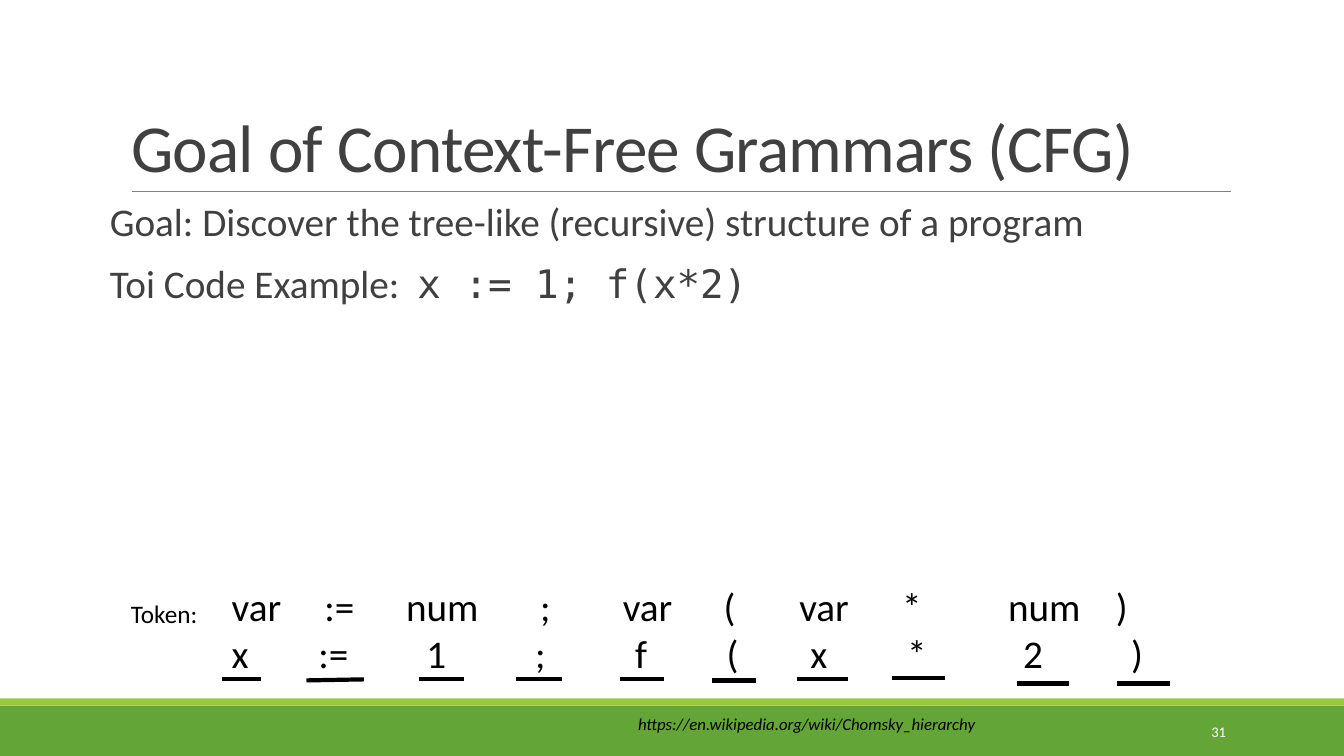
"""Build a slide on the goal of context-free grammars with a tokenised example."""
import pptx
import pptx.dml.color
import pptx.enum.shapes
import pptx.enum.text
import pptx.util
from lxml import etree
from pptx.util import Inches, Pt

NS = "http://schemas.openxmlformats.org/drawingml/2006/main"
ANCHOR = pptx.enum.text.MSO_ANCHOR
ALIGN = pptx.enum.text.PP_ALIGN


def color(value):
    """Turn a hex string into a colour."""
    return pptx.dml.color.RGBColor.from_string(value)


def write(frame, lines, size, ink, tabs=()):
    """Fill a text frame with lines, each with its own tab stops, in Calibri."""
    frame.word_wrap = True
    frame.auto_size = pptx.enum.text.MSO_AUTO_SIZE.NONE
    frame.text = "\n".join(lines)
    for para, stops in zip(frame.paragraphs, tabs):
        stop_list = etree.SubElement(para._p.get_or_add_pPr(), f"{{{NS}}}tabLst")
        for stop in stops:
            etree.SubElement(stop_list, f"{{{NS}}}tab", pos=str(Inches(stop)), algn="l")
    for para in frame.paragraphs:
        for span in para.runs:
            span.font.name = "Calibri"
            span.font.size = Pt(size)
            span.font.color.rgb = color(ink)
    return frame


deck = pptx.Presentation()
deck.slide_width = Inches(13.33)
deck.slide_height = Inches(7.5)
page = deck.slides.add_slide(deck.slide_layouts[5])

for top, height, fill in [(7, 0.5, "63A537"), (6.93, 0.07, "99CB38")]:
    band = page.shapes.add_shape(
        pptx.enum.shapes.MSO_SHAPE.RECTANGLE, 0, Inches(top), deck.slide_width, Inches(height))
    band.shadow.inherit = False
    band.fill.solid()
    band.fill.fore_color.rgb = color(fill)
    band.line.fill.background()

title = page.shapes.title
title.left, title.top, title.width, title.height = Inches(1.2), Inches(0.31), Inches(11), Inches(1.59)
frame = write(title.text_frame, ["Goal of Context-Free Grammars (CFG)"], 48, "404040")
frame.vertical_anchor = ANCHOR.BOTTOM
para = frame.paragraphs[0]
para.alignment = ALIGN.LEFT
para.line_spacing = 0.85
para.runs[0].font._element.set("spc", "-50")

box = page.shapes.add_textbox(Inches(1.09), Inches(1.96), Inches(9.86), Inches(1.2))
frame = write(
    box.text_frame,
    ["Goal: Discover the tree-like (recursive) structure of a program", "Toi Code Example:\t"],
    28, "404040", [[], [3.05]])
frame.margin_left = frame.margin_right = 0
for para in frame.paragraphs:
    para.line_spacing = 0.9
    para.space_after = Pt(2)
para.space_before = Pt(12)
code = para.add_run()
code.text = "x := 1; f(x*2)"
code.font.name = "DejaVu Sans Mono"
code.font.size = Pt(28)
code.font.color.rgb = color("404040")

box = page.shapes.add_textbox(Inches(10.83), Inches(7.06), Inches(1.43), Inches(0.4))
frame = write(box.text_frame, ["31"], 10.5, "FFFFFF")
frame.vertical_anchor = ANCHOR.MIDDLE
frame.paragraphs[0].alignment = ALIGN.RIGHT

box = page.shapes.add_textbox(Inches(6.23), Inches(7.03), Inches(5), Inches(0.3))
frame = write(box.text_frame, ["https://en.wikipedia.org/wiki/Chomsky_hierarchy"], 12, "000000")
frame.paragraphs[0].runs[0].font.italic = True

kinds = ["var", ":=", "num", ";", "var", "(", "var", "*", "num", ")"]
lexemes = ["x", ":=", "1", ";", "f", "(", "x", "*", "2", ")"]
kind_stops = [0.92, 1.73, 3.06, 3.88, 4.88, 5.63, 6.65, 7.7, 8.77]
lexeme_stops = [0.86, 1.93, 3.01, 4, 4.91, 5.74, 6.7, 7.85, 8.92]
box = page.shapes.add_textbox(Inches(2.2), Inches(5.73), Inches(9.5), Inches(1.04))
write(box.text_frame, ["\t".join(kinds), "\t".join(lexemes)], 28, "000000",
      [kind_stops, lexeme_stops])

box = page.shapes.add_textbox(Inches(1.2), Inches(5.89), Inches(0.87), Inches(0.4))
write(box.text_frame, ["Token:"], 18, "000000").word_wrap = False

rules = [(1.31, 12.21, 1.9, 1.9, "808080", 0.5)]
underlines = [
    (2.2, 2.59, 6.74, 6.74), (3.04, 3.61, 6.75, 6.74), (4.16, 4.6, 6.74, 6.74),
    (5.12, 5.57, 6.74, 6.74), (6.15, 6.59, 6.74, 6.74), (7.06, 7.5, 6.75, 6.75),
    (7.9, 8.41, 6.74, 6.74), (8.85, 9.37, 6.73, 6.73), (10.09, 10.6, 6.78, 6.78),
    (11.08, 11.6, 6.78, 6.78),
]
rules += [(*underline, "000000", 3) for underline in underlines]
for left, right, start, end, ink, weight in rules:
    line = page.shapes.add_connector(
        pptx.enum.shapes.MSO_CONNECTOR.STRAIGHT,
        Inches(left), Inches(start), Inches(right), Inches(end))
    line.line.color.rgb = color(ink)
    line.line.width = Pt(weight)
    etree.SubElement(line._element.spPr, f"{{{NS}}}effectLst")

deck.save("out.pptx")
